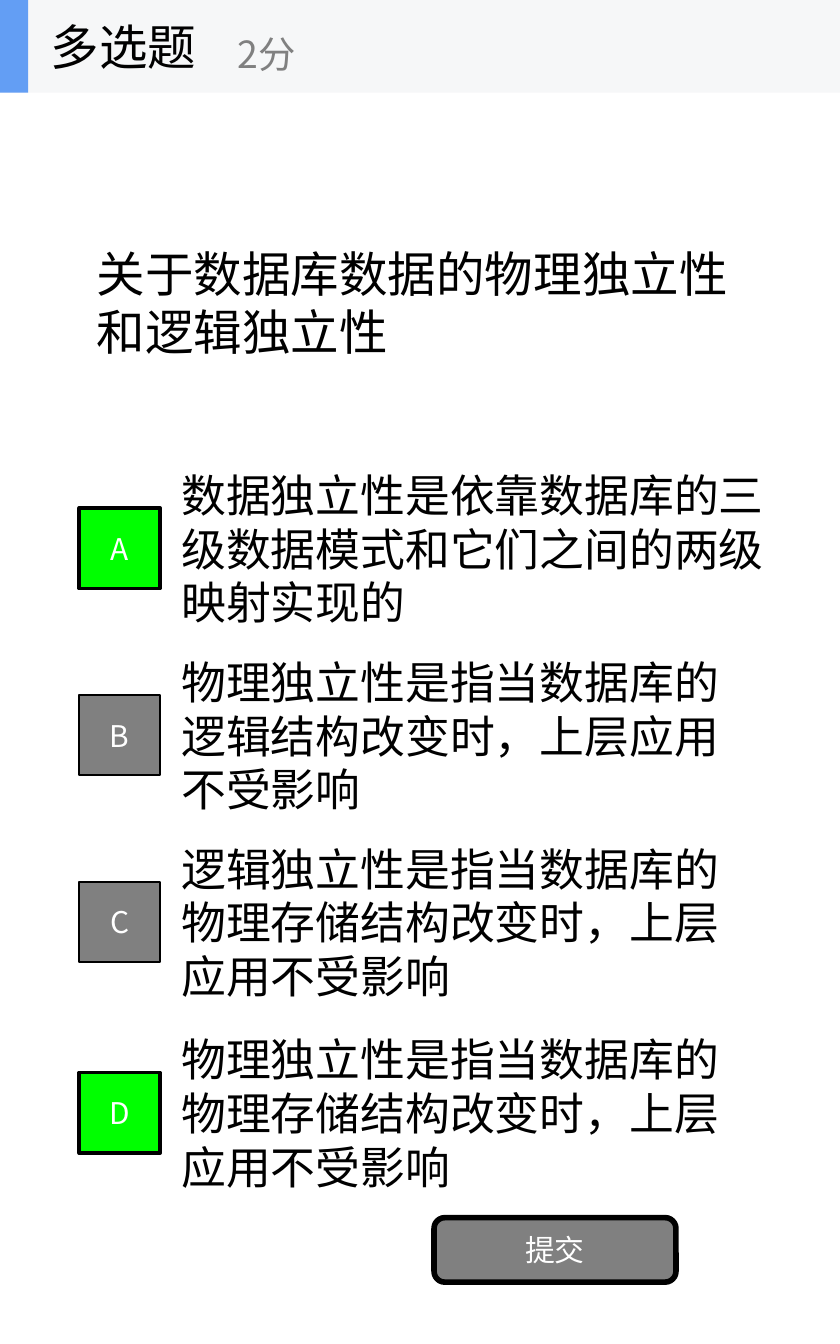
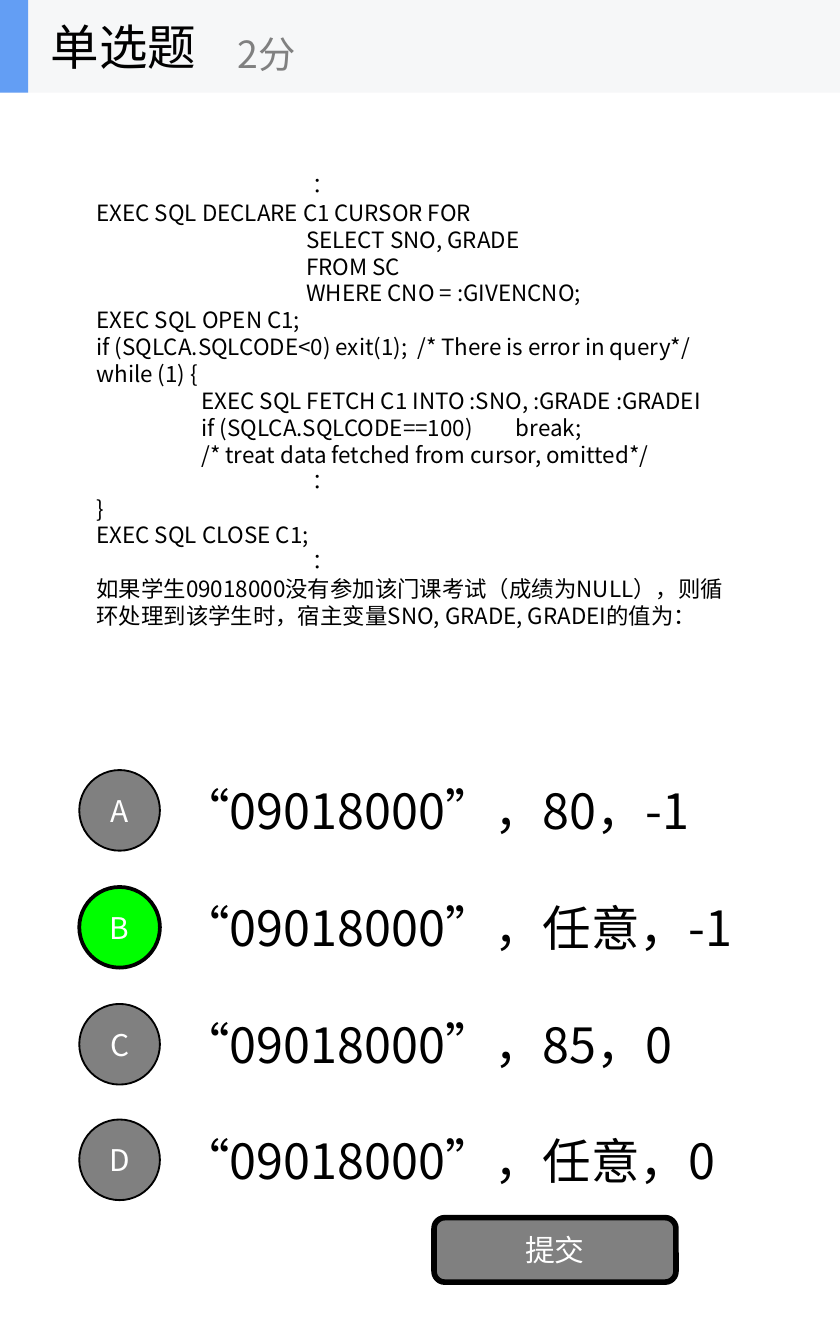
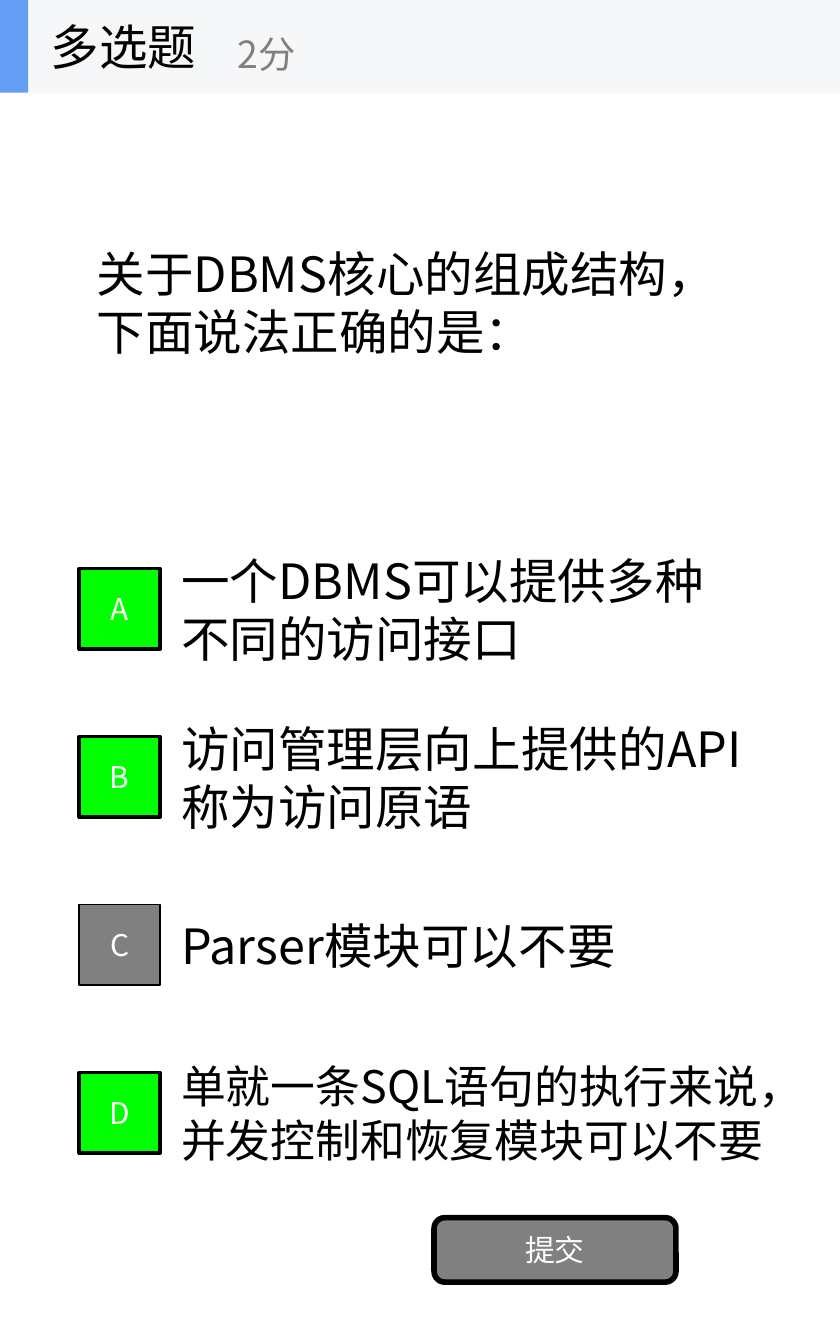
from lxml import etree
from pptx import Presentation
from pptx import util as u
from pptx.dml.color import RGBColor
from pptx.enum import shapes, text
from pptx.oxml.ns import qn

FONT = "Noto Sans CJK SC"
COLORS = {
    "ink": "000000",
    "white": "FFFFFF",
    "muted": "808080",
    "correct": "00FF00",
    "band": "F6F7F8",
    "accent": "639EF4",
}
SLIDE_W, SLIDE_H = 6.25, 10
HEADER_H = 0.69
OPTION_H, BADGE_SIZE = 0.94, 0.6
TAB_STEP = 0.78

SINGLE = ("单选题", shapes.MSO_SHAPE.OVAL)
MULTIPLE = ("多选题", shapes.MSO_SHAPE.RECTANGLE)

CURSOR_CODE = """\t\t∶
EXEC SQL DECLARE C1 CURSOR FOR
\t\tSELECT SNO, GRADE
\t\tFROM SC
\t\tWHERE CNO = :GIVENCNO;
EXEC SQL OPEN C1;
if (SQLCA.SQLCODE<0) exit(1);  /* There is error in query*/
while (1) {
\tEXEC SQL FETCH C1 INTO :SNO, :GRADE :GRADEI
\tif (SQLCA.SQLCODE==100)\tbreak;
\t/* treat data fetched from cursor, omitted*/
\t\t∶
}
EXEC SQL CLOSE C1;
\t\t∶
如果学生09018000没有参加该门课考试（成绩为NULL），则循环处理到该学生时，宿主变量SNO, GRADE, GRADEI的值为："""

# Each option: top, text, width, font size
QUESTIONS = [
    {
        "kind": MULTIPLE,
        "stem": "关于数据库数据的物理独立性和逻辑独立性",
        "stem_height": 3.12,
        "stem_size": 26,
        "answers": "AD",
        "options": [
            (3.61, "数据独立性是依靠数据库的三级数据模式和它们之间的两级映射实现的", 4.79, 24),
            (5, "物理独立性是指当数据库的逻辑结构改变时，上层应用不受影响", 4.38, 24),
            (6.39, "逻辑独立性是指当数据库的物理存储结构改变时，上层应用不受影响", 4.38, 24),
            (7.81, "物理独立性是指当数据库的物理存储结构改变时，上层应用不受影响", 4.38, 24),
        ],
    },
    {
        "kind": SINGLE,
        "stem": CURSOR_CODE,
        "stem_height": 4.58,
        "stem_size": 12,
        "answers": "B",
        "options": [
            (5.56, "“09018000”，80，-1", 4.38, 26),
            (6.43, "“09018000”，任意，-1", 4.86, 26),
            (7.3, "“09018000”，85，0", 4.38, 26),
            (8.16, "“09018000”，任意，0", 4.38, 26),
        ],
    },
    {
        "kind": MULTIPLE,
        "stem": "关于DBMS核心的组成结构，下面说法正确的是：",
        "stem_height": 3.12,
        "stem_size": 26,
        "answers": "ABD",
        "options": [
            (4.06, "一个DBMS可以提供多种不同的访问接口", 4.38, 26),
            (5.31, "访问管理层向上提供的API称为访问原语", 4.38, 26),
            (6.56, "Parser模块可以不要", 4.38, 26),
            (7.81, "单就一条SQL语句的执行来说，并发控制和恢复模块可以不要", 4.86, 24),
        ],
    },
]


def rgb(name):
    return RGBColor.from_string(COLORS[name])


def add_tab_stops(paragraph):
    """Set four evenly spaced left tabs for indented code."""
    tabs = etree.SubElement(paragraph._p.get_or_add_pPr(), qn("a:tabLst"))
    for stop in range(1, 5):
        etree.SubElement(tabs, qn("a:tab"), pos=str(u.Inches(TAB_STEP * stop)), algn="l")


def write(frame, content, size, color, align=text.PP_ALIGN.LEFT):
    frame.text = content
    frame.word_wrap = True
    frame.vertical_anchor = text.MSO_ANCHOR.MIDDLE
    for paragraph in frame.paragraphs:
        paragraph.alignment = align
        if "\t" in paragraph.text:
            add_tab_stops(paragraph)
        for run in paragraph.runs:
            run.font.name = FONT
            run.font.size = u.Pt(size)
            run.font.color.rgb = rgb(color)
            etree.SubElement(run.font._element, qn("a:ea"), typeface=FONT)


def add_label(parent, box, content, size, color="ink"):
    label = parent.add_textbox(*map(u.Inches, box))
    write(label.text_frame, content, size, color)


def add_block(parent, preset, box, fill, line_width=0):
    block = parent.add_shape(preset, *map(u.Inches, box))
    block.shadow.inherit = False
    block.fill.solid()
    block.fill.fore_color.rgb = rgb(fill)
    if line_width:
        block.line.color.rgb = rgb("ink")
        block.line.width = u.Pt(line_width)
    else:
        block.line.fill.background()
    return block


def add_button(parent, preset, box, caption, fill, line_width):
    button = add_block(parent, preset, box, fill, line_width)
    write(button.text_frame, caption, 16, "white", text.PP_ALIGN.CENTER)


def add_header(slide, title):
    header = slide.shapes.add_group_shape().shapes
    rectangle = shapes.MSO_SHAPE.RECTANGLE
    add_block(header, rectangle, (0, 0, SLIDE_W, HEADER_H), "band")
    add_block(header, rectangle, (0, 0, 0.21, HEADER_H), "accent")
    add_label(header, (0.28, 0, 2.08, HEADER_H), title, 26)
    add_label(header, (1.67, 0.12, 2.5, 0.56), "2分", 20, "muted")


def add_options(slide, options, answers, badge_shape):
    for top, content, width, size in options:
        add_label(slide.shapes, (1.25, top, width, OPTION_H), content, size)
    for letter, (top, *_) in zip("ABCD", options):
        badge_top = top + (OPTION_H - BADGE_SIZE) / 2
        fill, line_width = ("correct", 2) if letter in answers else ("muted", 1)
        add_button(slide.shapes, badge_shape, (0.59, badge_top, BADGE_SIZE, BADGE_SIZE),
                   letter, fill, line_width)


def add_question(deck, question):
    slide = deck.slides.add_slide(deck.slide_layouts[6])
    title, badge_shape = question["kind"]
    add_label(slide.shapes, (0.62, HEADER_H, 5, question["stem_height"]),
              question["stem"], question["stem_size"])
    add_options(slide, question["options"], question["answers"], badge_shape)
    add_button(slide.shapes, shapes.MSO_SHAPE.ROUNDED_RECTANGLE, (3.23, 9.06, 1.8, 0.48),
               "提交", "muted", 3)
    add_header(slide, title)


def main():
    deck = Presentation()
    deck.slide_width = u.Inches(SLIDE_W)
    deck.slide_height = u.Inches(SLIDE_H)
    for question in QUESTIONS:
        add_question(deck, question)
    deck.save("out.pptx")


if __name__ == "__main__":
    main()
